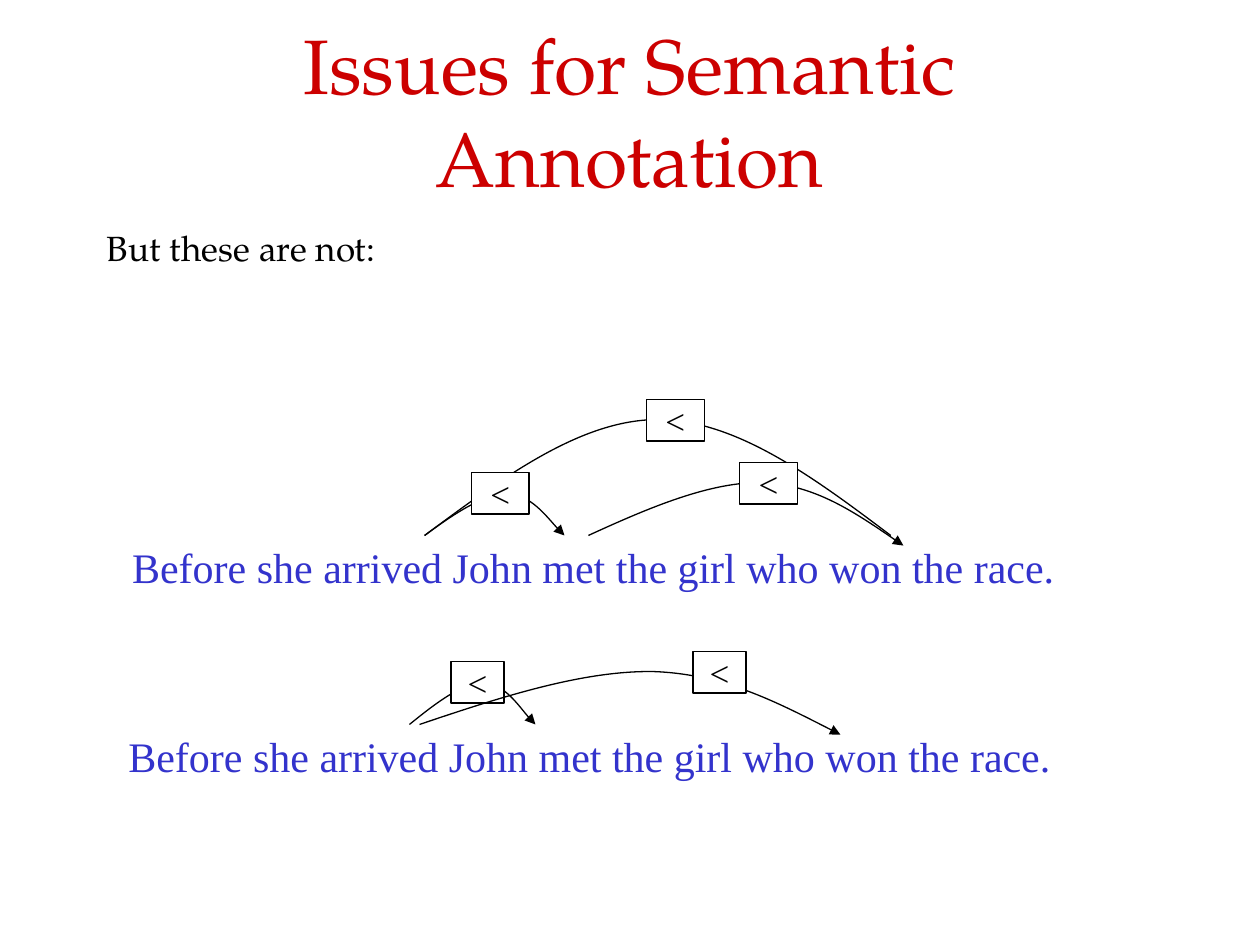
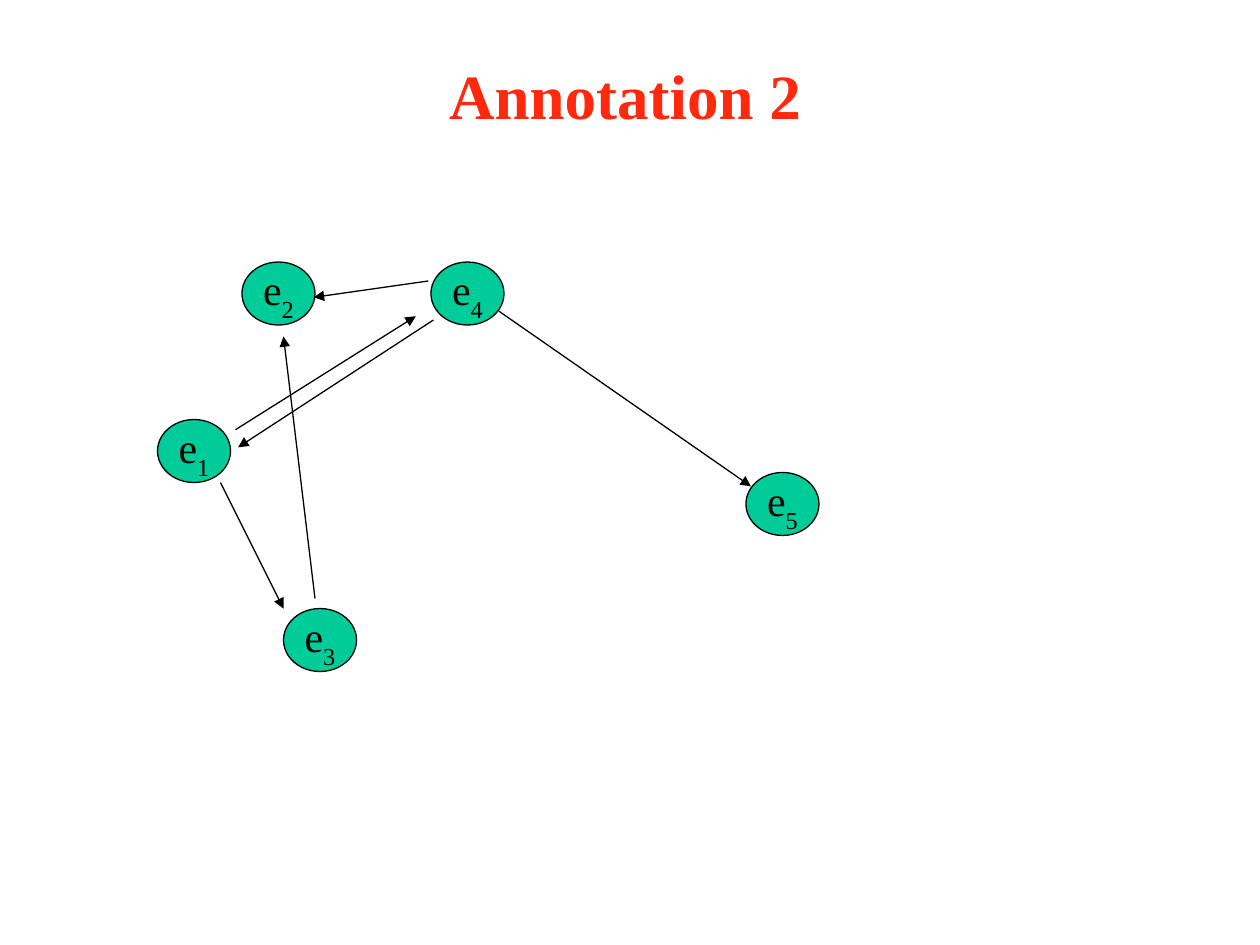
from pptx import Presentation
from pptx.dml.color import RGBColor
from pptx.enum.shapes import MSO_CONNECTOR, MSO_SHAPE
from pptx.enum.text import MSO_ANCHOR as Anchor, PP_ALIGN as Align
from pptx.oxml.ns import qn
from pptx.oxml.xmlchemy import OxmlElement
from pptx.util import Inches, Pt

SERIF = "Times New Roman"
BOOK = "TeX Gyre Pagella"
BLACK, WHITE = "000000", "FFFFFF"
BLUE, GREEN = "3333CC", "00CC99"
DARK_RED, BRIGHT_RED = "CC0000", "FF290E"

SENTENCE = "Before she arrived John met the girl who won the race."
RELATION = "<"
RELATION_HEIGHT = 0.33

SENTENCE_DIAGRAMS = [
    {
        "text_at": (0.95, 4.25),
        "relation_width": 0.46,
        "parts": [
            ("arc", [(3.37, 4.25), (3.99, 3.79), (4.61, 3.33), (5.22, 3.33),
                     (5.84, 3.33), (6.46, 3.79), (7.07, 4.25)], False),
            ("arc", [(3.37, 4.25), (3.6, 4.08), (3.84, 3.92), (4.02, 3.92),
                     (4.21, 3.92), (4.41, 4.19), (4.48, 4.25)], True),
            ("arc", [(4.67, 4.25), (5.15, 4.03), (5.64, 3.82), (6.06, 3.83),
                     (6.47, 3.85), (6.82, 4.09), (7.17, 4.33)], True),
            ("relation", (5.87, 3.67)),
            ("relation", (5.13, 3.17)),
            ("relation", (3.74, 3.75)),
        ],
    },
    {
        "text_at": (0.92, 5.75),
        "relation_width": 0.42,
        "parts": [
            ("arc", [(3.25, 5.75), (3.46, 5.58), (3.67, 5.42), (3.83, 5.42),
                     (4, 5.42), (4.18, 5.69), (4.25, 5.75)], True),
            ("relation", (3.58, 5.25)),
            ("arc", [(3.33, 5.75), (3.98, 5.53), (4.63, 5.32), (5.19, 5.33),
                     (5.74, 5.35), (6.2, 5.59), (6.67, 5.83)], True),
            ("relation", (5.5, 5.17)),
        ],
    },
]

EVENT_SIZE = (0.58, 0.5)
EVENTS = [
    ("2", (1.92, 2.08)),
    ("1", (1.25, 3.33)),
    ("3", (2.25, 4.83)),
    ("5", (5.92, 3.75)),
    ("4", (3.42, 2.08)),
]
EVENT_ARROWS = [
    ((2.5, 4.75), (2.25, 2.67)),
    ((1.87, 3.41), (3.3, 2.51)),
    ((3.96, 2.47), (5.96, 3.86)),
    ((3.44, 2.54), (1.89, 3.55)),
    ((3.4, 2.23), (2.49, 2.36)),
    ((1.75, 3.83), (2.25, 4.83)),
]


def color(value):
    return RGBColor.from_string(value)


def emu(*lengths):
    return [Inches(length) for length in lengths]


def add_run(paragraph, text, size, font=SERIF, fill=BLACK, bold=False):
    run = paragraph.add_run()
    run.text = text
    run.font.size = Pt(size)
    run.font.name = font
    run.font.bold = bold
    run.font.color.rgb = color(fill)
    return run


def add_text(slide, box, text, size, font=SERIF, fill=BLACK, bold=False,
             align=Align.LEFT, anchor=Anchor.TOP, wrap=True):
    frame = slide.shapes.add_textbox(*emu(*box)).text_frame
    frame.word_wrap = wrap
    frame.vertical_anchor = anchor
    paragraph = frame.paragraphs[0]
    paragraph.alignment = align
    add_run(paragraph, text, size, font, fill, bold)
    return paragraph


def add_title(slide, box, text, size, font, fill, bold=False):
    add_text(slide, box, text, size, font, fill, bold, Align.CENTER, Anchor.MIDDLE)


def style_line(shape, arrow=False):
    shape.line.color.rgb = color(BLACK)
    shape.line.width = Pt(0.75)
    if arrow:
        tail = OxmlElement("a:tailEnd")
        tail.set("type", "triangle")
        shape.line._get_or_add_ln().append(tail)


def add_node(slide, kind, position, size, fill):
    shape = slide.shapes.add_shape(kind, *emu(*position, *size))
    shape.shadow.inherit = False
    shape.fill.solid()
    shape.fill.fore_color.rgb = color(fill)
    style_line(shape)
    frame = shape.text_frame
    frame.word_wrap = False
    frame.vertical_anchor = Anchor.MIDDLE
    paragraph = frame.paragraphs[0]
    paragraph.alignment = Align.CENTER
    return paragraph


def add_arc(slide, points, arrow):
    start, *rest = [emu(*point) for point in points]
    builder = slide.shapes.build_freeform(*start)
    builder.add_line_segments(rest, close=False)
    shape = builder.convert_to_shape()
    segments = list(shape._element.iter(qn("a:lnTo")))
    for first in range(0, len(segments), 3):
        curve = OxmlElement("a:cubicBezTo")
        segments[first].addprevious(curve)
        for segment in segments[first:first + 3]:
            curve.append(segment[0])
            segment.getparent().remove(segment)
    shape.shadow.inherit = False
    shape.fill.background()
    style_line(shape, arrow)


def add_arrow(slide, start, end):
    connector = slide.shapes.add_connector(MSO_CONNECTOR.STRAIGHT, *emu(*start, *end))
    style_line(connector, arrow=True)
    connector._element.spPr.append(OxmlElement("a:effectLst"))


def build_issues(slide):
    add_title(slide, (0.75, 0.25, 8.5, 1.25), "Issues for Semantic Annotation",
              44, BOOK, DARK_RED)
    paragraph = add_text(slide, (0.75, 1.79, 8.5, 4.5), "But these are not:", 20, BOOK)
    paragraph.line_spacing = 0.9
    paragraph.space_before = Pt(5)
    properties = paragraph._p.get_or_add_pPr()
    properties.set("marL", str(Inches(0.38)))
    properties.set("indent", str(-Inches(0.38)))

    for diagram in SENTENCE_DIAGRAMS:
        for kind, place, *arrow in diagram["parts"]:
            if kind == "arc":
                add_arc(slide, place, *arrow)
            else:
                size = (diagram["relation_width"], RELATION_HEIGHT)
                add_run(add_node(slide, MSO_SHAPE.RECTANGLE, place, size, WHITE),
                        RELATION, 20)
        add_text(slide, (*diagram["text_at"], 7.52, 0.5), SENTENCE, 24,
                 fill=BLUE, wrap=False)


def build_event_graph(slide):
    add_title(slide, (1.5, 0.25, 6.92, 1), "Annotation 2", 36, SERIF, BRIGHT_RED, True)
    for index, position in EVENTS:
        paragraph = add_node(slide, MSO_SHAPE.OVAL, position, EVENT_SIZE, GREEN)
        add_run(paragraph, "e", 24)
        subscript = add_run(paragraph, index, 24)
        subscript._r.get_or_add_rPr().set("baseline", "-31000")
    for start, end in EVENT_ARROWS:
        add_arrow(slide, start, end)


def main():
    presentation = Presentation()
    presentation.slide_width, presentation.slide_height = emu(10, 7.5)
    blank = presentation.slide_layouts[6]
    for build in (build_issues, build_event_graph):
        build(presentation.slides.add_slide(blank))
    presentation.save("out.pptx")


if __name__ == "__main__":
    main()
